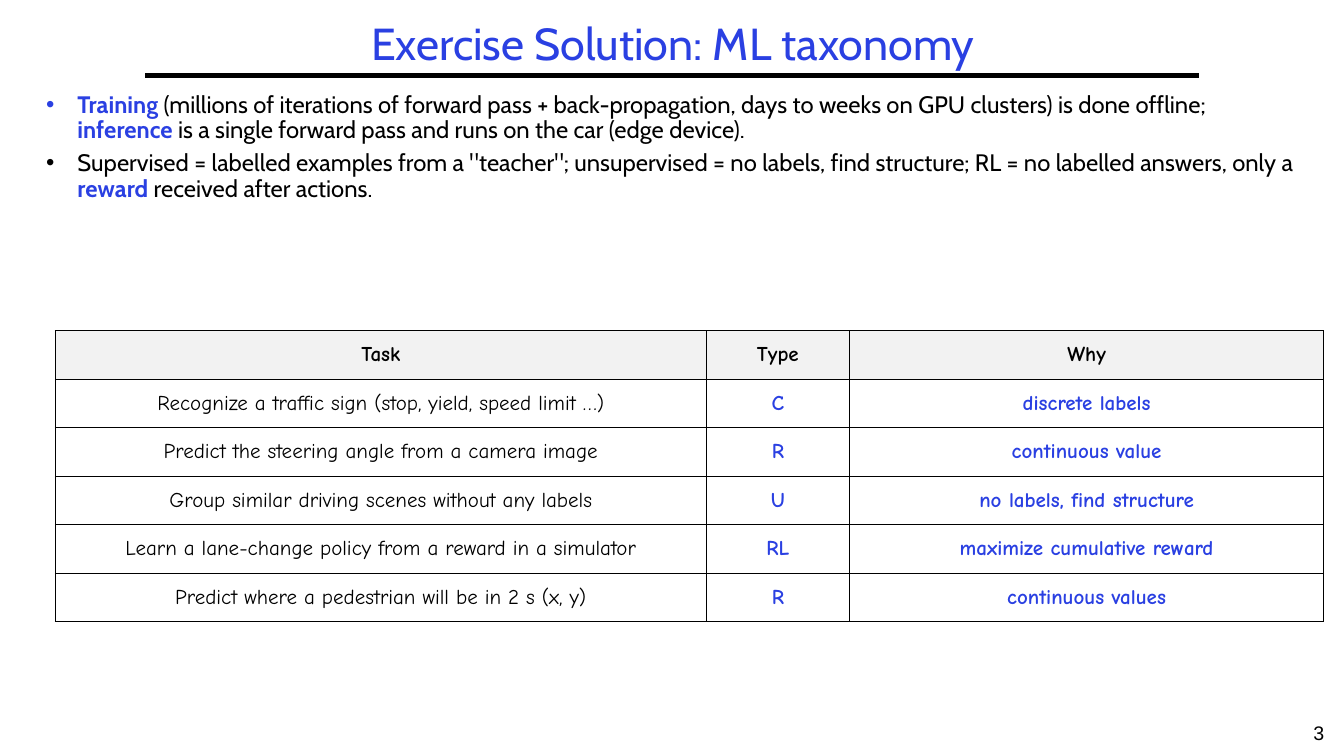
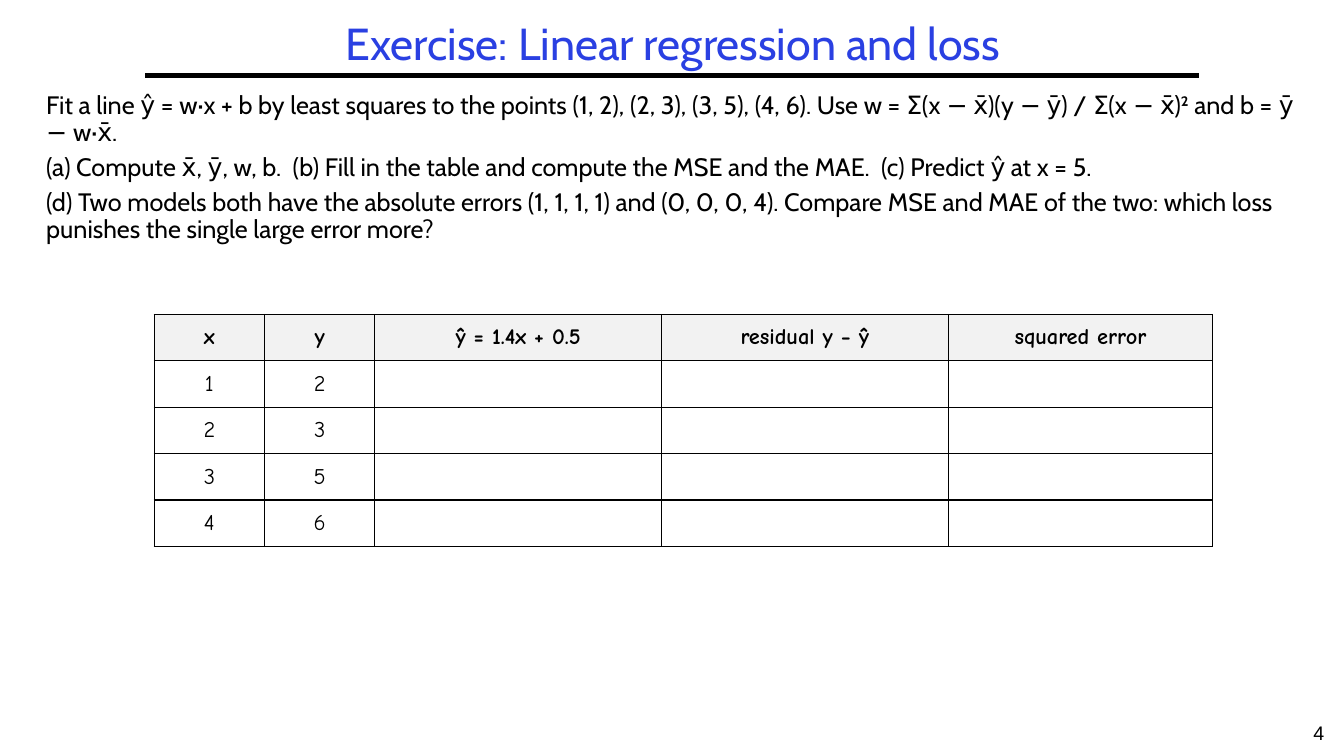
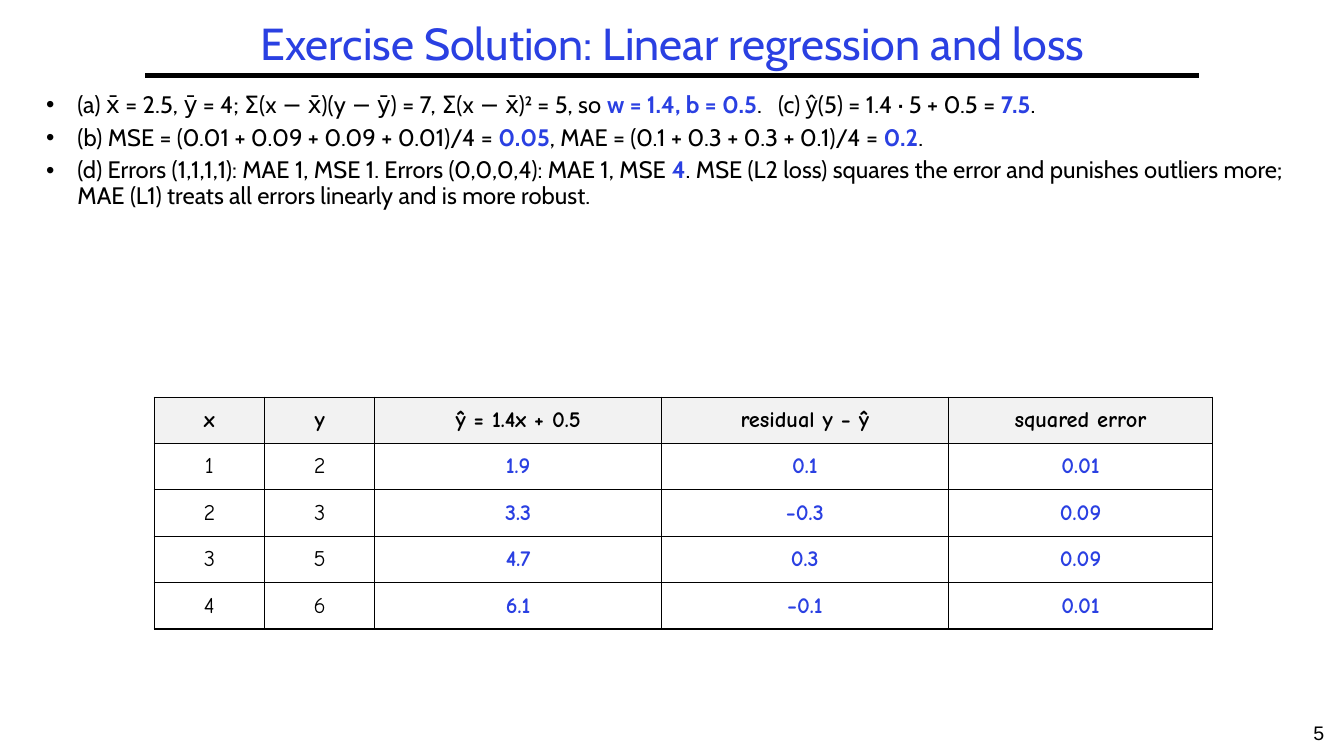
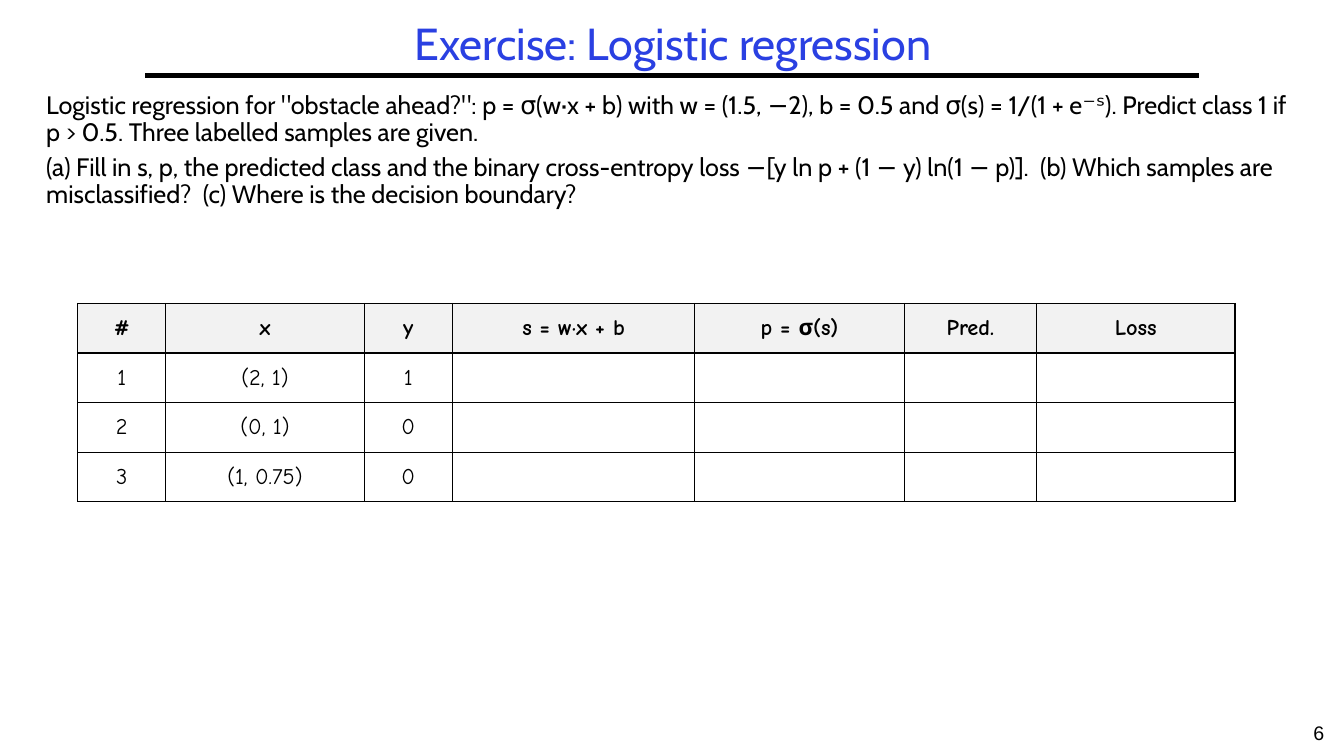
from lxml import etree
from pptx import Presentation
from pptx import util as u
from pptx.dml.color import RGBColor
from pptx.enum import shapes, text
from pptx.oxml import ns

BLUE, BLACK, GREY = "2A40E2", "000000", "F2F2F2"
BODY_FONT, TABLE_FONT, NUMBER_FONT = "Cabin", "Comic Neue", "Arial"
WIDTH, HEIGHT = 13.33, 7.5
TITLE_BOX = (1.44, 0.17, 10.47, 0.58)
RULE_ENDS = (1.44, 11.89)
NUMBER_BOX = (12.83, 7.1, 0.5, 0.4)
BODY_LEFT, BODY_TOP, BODY_WIDTH = 0.36, 0.87, 12.58
INDENT = 0.31
FIRST_NUMBER = 3

REGRESSION_HEAD = ["x", "y", "ŷ = 1.4x + 0.5", "residual y − ŷ", "squared error"]
REGRESSION_COLS = [1, 1, 2.6, 2.6, 2.4]

SLIDES = [
    dict(
        title="Exercise Solution: ML taxonomy",
        paragraphs=[
            "*Training* (millions of iterations of forward pass + back-propagation, days to weeks "
            "on GPU clusters) is done offline; *inference* is a single forward pass and runs on "
            "the car (edge device).",
            'Supervised = labelled examples from a "teacher"; unsupervised = no labels, find '
            "structure; RL = no labelled answers, only a *reward* received after actions.",
        ],
        bullets=True, body_height=2.41,
        table=dict(
            box=(0.55, 3.28, 12.58, 2.89), cols=[5.9, 1.3, 4.3], size=15, answers_from=1,
            rows=[
                ["Task", "Type", "Why"],
                ["Recognize a traffic sign (stop, yield, speed limit …)", "C", "discrete labels"],
                ["Predict the steering angle from a camera image", "R", "continuous value"],
                ["Group similar driving scenes without any labels", "U",
                 "no labels, find structure"],
                ["Learn a lane-change policy from a reward in a simulator", "RL",
                 "maximize cumulative reward"],
                ["Predict where a pedestrian will be in 2 s (x, y)", "R", "continuous values"],
            ]),
    ),
    dict(
        title="Exercise: Linear regression and loss",
        paragraphs=[
            "Fit a line ŷ = w·x + b by least squares to the points (1, 2), (2, 3), (3, 5), (4, 6). "
            "Use w = Σ(x − x̄)(y − ȳ) / Σ(x − x̄)² and b = ȳ − w·x̄.",
            "(a) Compute x̄, ȳ, w, b.  (b) Fill in the table and compute the MSE and the MAE.  "
            "(c) Predict ŷ at x = 5.",
            "(d) Two models both have the absolute errors (1, 1, 1, 1) and (0, 0, 0, 4). Compare "
            "MSE and MAE of the two: which loss punishes the single large error more?",
        ],
        bullets=False, body_height=2.19,
        table=dict(
            box=(1.53, 3.12, 10.5, 2.3), cols=REGRESSION_COLS, size=16, answers_from=2,
            rows=[REGRESSION_HEAD, ["1", "2"], ["2", "3"], ["3", "5"], ["4", "6"]]),
    ),
    dict(
        title="Exercise Solution: Linear regression and loss",
        paragraphs=[
            "(a) x̄ = 2.5, ȳ = 4; Σ(x − x̄)(y − ȳ) = 7, Σ(x − x̄)² = 5, so *w = 1.4, b = 0.5*.   "
            "(c) ŷ(5) = 1.4 · 5 + 0.5 = *7.5*.",
            "(b) MSE = (0.01 + 0.09 + 0.09 + 0.01)/4 = *0.05*, "
            "MAE = (0.1 + 0.3 + 0.3 + 0.1)/4 = *0.2*.",
            "(d) Errors (1,1,1,1): MAE 1, MSE 1. Errors (0,0,0,4): MAE 1, MSE *4*. MSE (L2 loss) "
            "squares the error and punishes outliers more; MAE (L1) treats all errors linearly "
            "and is more robust.",
        ],
        bullets=True, body_height=3.06,
        table=dict(
            box=(1.53, 3.94, 10.5, 2.3), cols=REGRESSION_COLS, size=16, answers_from=2,
            rows=[
                REGRESSION_HEAD,
                ["1", "2", "1.9", "0.1", "0.01"],
                ["2", "3", "3.3", "−0.3", "0.09"],
                ["3", "5", "4.7", "0.3", "0.09"],
                ["4", "6", "6.1", "−0.1", "0.01"],
            ]),
    ),
    dict(
        title="Exercise: Logistic regression",
        paragraphs=[
            'Logistic regression for "obstacle ahead?": p = σ(w·x + b) with w = (1.5, −2), b = 0.5 '
            "and σ(s) = 1/(1 + e⁻ˢ). Predict class 1 if p > 0.5. Three labelled samples are given.",
            "(a) Fill in s, p, the predicted class and the binary cross-entropy loss "
            "−[y ln p + (1 − y) ln(1 − p)].  (b) Which samples are misclassified?  "
            "(c) Where is the decision boundary?",
        ],
        bullets=False, body_height=1.97,
        table=dict(
            box=(0.77, 3.01, 11.48, 1.97), cols=[0.8, 1.8, 0.8, 2.2, 1.9, 1.2, 1.8], size=16,
            answers_from=3,
            rows=[
                ["#", "x", "y", "s = w·x + b", "p = σ(s)", "Pred.", "Loss"],
                ["1", "(2, 1)", "1"],
                ["2", "(0, 1)", "0"],
                ["3", "(1, 0.75)", "0"],
            ]),
    ),
]


def rgb(value):
    return RGBColor.from_string(value)


def inches(box):
    return [u.Inches(v) for v in box]


def add_run(p, words, font, size, color=BLACK, bold=False):
    r = p.add_run()
    r.text = words
    r.font.name, r.font.size, r.font.bold = font, u.Pt(size), bold
    r.font.color.rgb = rgb(color)


def add_bullet(p):
    pPr = p._p.get_or_add_pPr()
    pPr.set("marL", str(u.Inches(INDENT)))
    pPr.set("indent", str(-u.Inches(INDENT)))
    etree.SubElement(pPr, ns.qn("a:buFont")).set("typeface", "Arial")
    etree.SubElement(pPr, ns.qn("a:buChar")).set("char", "•")


def add_frame(slide, title, number):
    """Title, the rule under it and the slide number."""
    sp = slide.shapes.title
    sp.left, sp.top, sp.width, sp.height = inches(TITLE_BOX)
    tf = sp.text_frame
    tf.auto_size = text.MSO_AUTO_SIZE.NONE
    tf.vertical_anchor = text.MSO_ANCHOR.MIDDLE
    p = tf.paragraphs[0]
    p.alignment, p.line_spacing = text.PP_ALIGN.CENTER, 0.9
    add_run(p, title, BODY_FONT, 32, BLUE)

    y = u.Inches(HEIGHT * 0.1)
    x1, x2 = inches(RULE_ENDS)
    line = slide.shapes.add_connector(shapes.MSO_CONNECTOR.STRAIGHT, x1, y, x2, y)
    line.line.color.rgb, line.line.width = rgb(BLACK), u.Pt(3)
    etree.SubElement(line._element.spPr, ns.qn("a:effectLst"))

    p = slide.shapes.add_textbox(*inches(NUMBER_BOX)).text_frame.paragraphs[0]
    p.alignment = text.PP_ALIGN.CENTER
    add_run(p, str(number), NUMBER_FONT, 14)


def add_body(slide, box, paragraphs, bullets):
    """Paragraphs whose parts between asterisks are bold and blue."""
    tf = slide.shapes.add_textbox(*inches(box)).text_frame
    tf.word_wrap = True
    size = 17 if bullets else 18
    for i, words in enumerate(paragraphs):
        p = tf.add_paragraph() if i else tf.paragraphs[0]
        if bullets:
            add_bullet(p)
        p.line_spacing = 0.9
        if i:
            p.space_before = u.Pt(0.3 * size)
        for j, part in enumerate(words.split("*")):
            if part:
                strong = j % 2 == 1
                add_run(p, part, BODY_FONT, size, BLUE if strong else BLACK, strong)


def add_borders(cell):
    tcPr = cell._tc.get_or_add_tcPr()
    for side in ("lnL", "lnR", "lnT", "lnB"):
        ln = etree.SubElement(tcPr, ns.qn("a:" + side), w=str(u.Pt(1)))
        fill = etree.SubElement(ln, ns.qn("a:solidFill"))
        etree.SubElement(fill, ns.qn("a:srgbClr"), val=BLACK)


def add_grid(slide, box, cols, size, answers_from, rows):
    """Table with a grey header; columns from answers_from on are answers."""
    table = slide.shapes.add_table(len(rows), len(cols), *inches(box)).table
    table.first_row = table.horz_banding = False
    for col, share in zip(table.columns, cols):
        col.width = u.Inches(box[2] * share / sum(cols))
    for i, row in enumerate(rows):
        for j in range(len(cols)):
            cell = table.cell(i, j)
            cell.margin_left = cell.margin_right = u.Inches(0.07)
            cell.margin_top = cell.margin_bottom = u.Inches(0.03)
            cell.vertical_anchor = text.MSO_ANCHOR.MIDDLE
            add_borders(cell)
            if i == 0:
                cell.fill.solid()
                cell.fill.fore_color.rgb = rgb(GREY)
            else:
                cell.fill.background()
            if j < len(row):
                answer = i > 0 and j >= answers_from
                p = cell.text_frame.paragraphs[0]
                p.alignment = text.PP_ALIGN.CENTER
                add_run(p, row[j], TABLE_FONT, size, BLUE if answer else BLACK,
                        i == 0 or answer)


def main():
    prs = Presentation()
    prs.slide_width, prs.slide_height = u.Inches(WIDTH), u.Inches(HEIGHT)
    for number, content in enumerate(SLIDES, FIRST_NUMBER):
        slide = prs.slides.add_slide(prs.slide_layouts[5])
        add_frame(slide, content["title"], number)
        add_body(slide, (BODY_LEFT, BODY_TOP, BODY_WIDTH, content["body_height"]),
                 content["paragraphs"], content["bullets"])
        add_grid(slide, **content["table"])
    prs.save("out.pptx")


if __name__ == "__main__":
    main()
